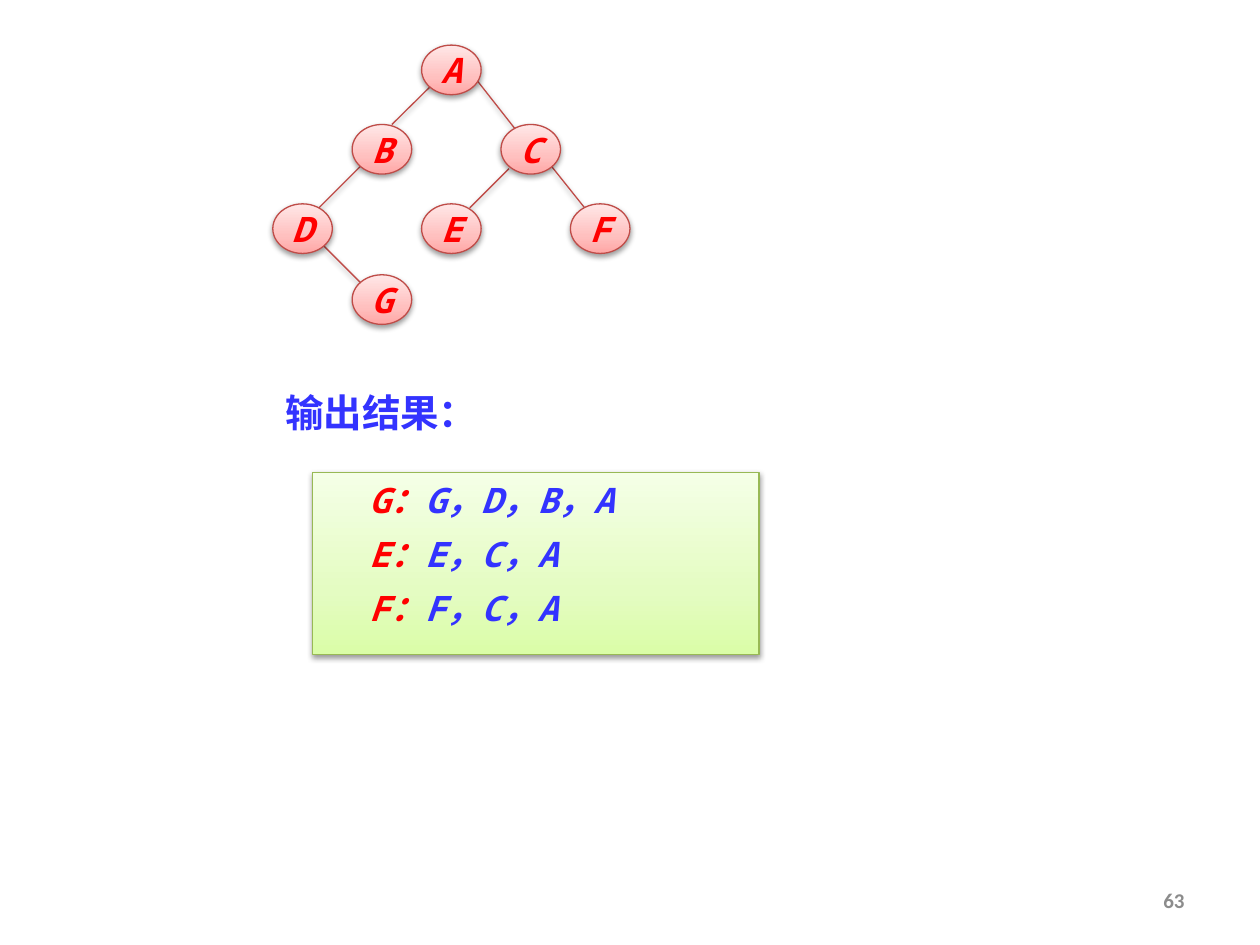
"""Build a slide showing a binary tree and the path from each leaf to the root."""
from dataclasses import dataclass

from lxml.etree import SubElement
from pptx import Presentation
from pptx.dml.color import RGBColor
from pptx.enum.shapes import MSO_CONNECTOR as Connector, MSO_SHAPE as Shape
from pptx.enum.text import MSO_ANCHOR as Anchor, PP_ALIGN as Align
from pptx.oxml.ns import qn
from pptx.util import Cm, Pt

RED = RGBColor(0xFF, 0x00, 0x00)
BLUE = RGBColor(0x33, 0x33, 0xFF)
GRAY = RGBColor(0x8C, 0x8C, 0x8C)
BLACK = RGBColor(0x00, 0x00, 0x00)
ROSE_LINE = RGBColor(0xBF, 0x4C, 0x48)
GREEN_LINE = RGBColor(0x98, 0xB9, 0x55)
ROSE_FILL = (RGBColor(0xFF, 0xA6, 0xA5), RGBColor(0xFF, 0xC0, 0xBF), RGBColor(0xFF, 0xE7, 0xE7))
GREEN_FILL = (RGBColor(0xDA, 0xFD, 0xA7), RGBColor(0xE4, 0xFC, 0xC2), RGBColor(0xF5, 0xFF, 0xE7))
STOPS = (0, 35, 100)
MONO = "Noto Sans Mono"
SANS = "Noto Sans CJK SC"
NODE_WIDTH, NODE_HEIGHT = Cm(1.2), Cm(1)


@dataclass(frozen=True)
class Node:
    name: str
    left: float
    top: float


@dataclass(frozen=True)
class Edge:
    start_x: float
    start_y: float
    end_x: float
    end_y: float


@dataclass(frozen=True)
class LeafPath:
    leaf: str
    route: str


NODES = (
    Node("A", 8.5, 0.91),
    Node("B", 7.1, 2.51),
    Node("C", 10.1, 2.51),
    Node("D", 5.5, 4.11),
    Node("E", 8.5, 4.11),
    Node("F", 11.5, 4.11),
    Node("G", 7.1, 5.54),
)
EDGES = (
    Edge(8.69, 1.73, 7.9, 2.51),
    Edge(9.6, 1.6, 10.44, 2.67),
    Edge(7.29, 3.33, 6.3, 4.32),
    Edge(10.26, 3.4, 9.47, 4.19),
    Edge(11.1, 3.33, 11.89, 4.32),
    Edge(6.5, 4.93, 7.29, 5.72),
)
PATHS = (
    LeafPath("G：", "G，D，B，A"),
    LeafPath("E：", "E，C，A"),
    LeafPath("F：", "F，C，A"),
)


def add_color(parent, color: RGBColor):
    return SubElement(parent, qn("a:srgbClr"), val=str(color))


def set_gradient(shape, colors: tuple) -> None:
    gradient = SubElement(shape._element.spPr, qn("a:gradFill"), rotWithShape="1")
    stops = SubElement(gradient, qn("a:gsLst"))
    for position, color in zip(STOPS, colors):
        add_color(SubElement(stops, qn("a:gs"), pos=str(position * 1000)), color)
    SubElement(gradient, qn("a:lin"), ang="16200000", scaled="1")


def set_outline(shape, color: RGBColor) -> None:
    shape.line.color.rgb = color
    shape.line.width = Pt(0.75)
    effects = SubElement(shape._element.spPr, qn("a:effectLst"))
    shadow = SubElement(effects, qn("a:outerShdw"), blurRad="40000", dist="20000",
                        dir="5400000", rotWithShape="0")
    SubElement(add_color(shadow, BLACK), qn("a:alpha"), val="38000")


def format_run(run, font_name: str, size: float, color: RGBColor, italic: bool = False) -> None:
    font = run.font
    font.name, font.size, font.color.rgb = font_name, Pt(size), color
    font.bold, font.italic = True, italic
    SubElement(run._r.get_or_add_rPr(), qn("a:ea"), typeface=font_name)


def add_edge(slide, edge: Edge) -> None:
    line = slide.shapes.add_connector(Connector.STRAIGHT, Cm(edge.start_x), Cm(edge.start_y),
                                      Cm(edge.end_x), Cm(edge.end_y))
    set_outline(line, ROSE_LINE)


def add_node(slide, node: Node) -> None:
    shape = slide.shapes.add_shape(Shape.OVAL, Cm(node.left), Cm(node.top),
                                   NODE_WIDTH, NODE_HEIGHT)
    set_gradient(shape, ROSE_FILL)
    set_outline(shape, ROSE_LINE)
    frame = shape.text_frame
    frame.text = node.name
    frame.word_wrap = False
    frame.vertical_anchor = Anchor.MIDDLE
    paragraph = frame.paragraphs[0]
    paragraph.alignment = Align.CENTER
    format_run(paragraph.runs[0], MONO, 20, RED, italic=True)


def add_path_box(slide, paths: tuple) -> None:
    shape = slide.shapes.add_shape(Shape.RECTANGLE, Cm(6.3), Cm(9.52), Cm(9), Cm(3.68))
    set_gradient(shape, GREEN_FILL)
    set_outline(shape, GREEN_LINE)
    frame = shape.text_frame
    frame.word_wrap = True
    frame.vertical_anchor = Anchor.TOP
    frame.margin_left = Cm(1.14)
    for index, path in enumerate(paths):
        paragraph = frame.add_paragraph() if index else frame.paragraphs[0]
        paragraph.alignment = Align.LEFT
        if index:
            paragraph.space_before = Pt(7)
        for text, color in ((path.leaf, RED), (path.route, BLUE)):
            run = paragraph.add_run()
            run.text = text
            format_run(run, MONO, 20, color, italic=True)


def add_label(slide, text: str, box: tuple, font_name: str, size: float,
              color: RGBColor, align: Align, anchor: Anchor) -> None:
    frame = slide.shapes.add_textbox(*(Cm(length) for length in box)).text_frame
    frame.text = text
    frame.word_wrap = True
    frame.vertical_anchor = anchor
    paragraph = frame.paragraphs[0]
    paragraph.alignment = align
    format_run(paragraph.runs[0], font_name, size, color)


def main() -> None:
    presentation = Presentation()
    presentation.slide_width, presentation.slide_height = Cm(25.4), Cm(19.05)
    slide = presentation.slides.add_slide(presentation.slide_layouts[6])
    for edge in EDGES:
        add_edge(slide, edge)
    for node in NODES:
        add_node(slide, node)
    add_path_box(slide, PATHS)
    add_label(slide, "输出结果：", (5.5, 7.72, 6, 1.2), SANS, 22, BLUE, Align.LEFT, Anchor.TOP)
    add_label(slide, "63", (18.2, 17.65, 5.93, 1.01), "Calibri", 12, GRAY,
              Align.RIGHT, Anchor.MIDDLE)
    presentation.save("out.pptx")


if __name__ == "__main__":
    main()
